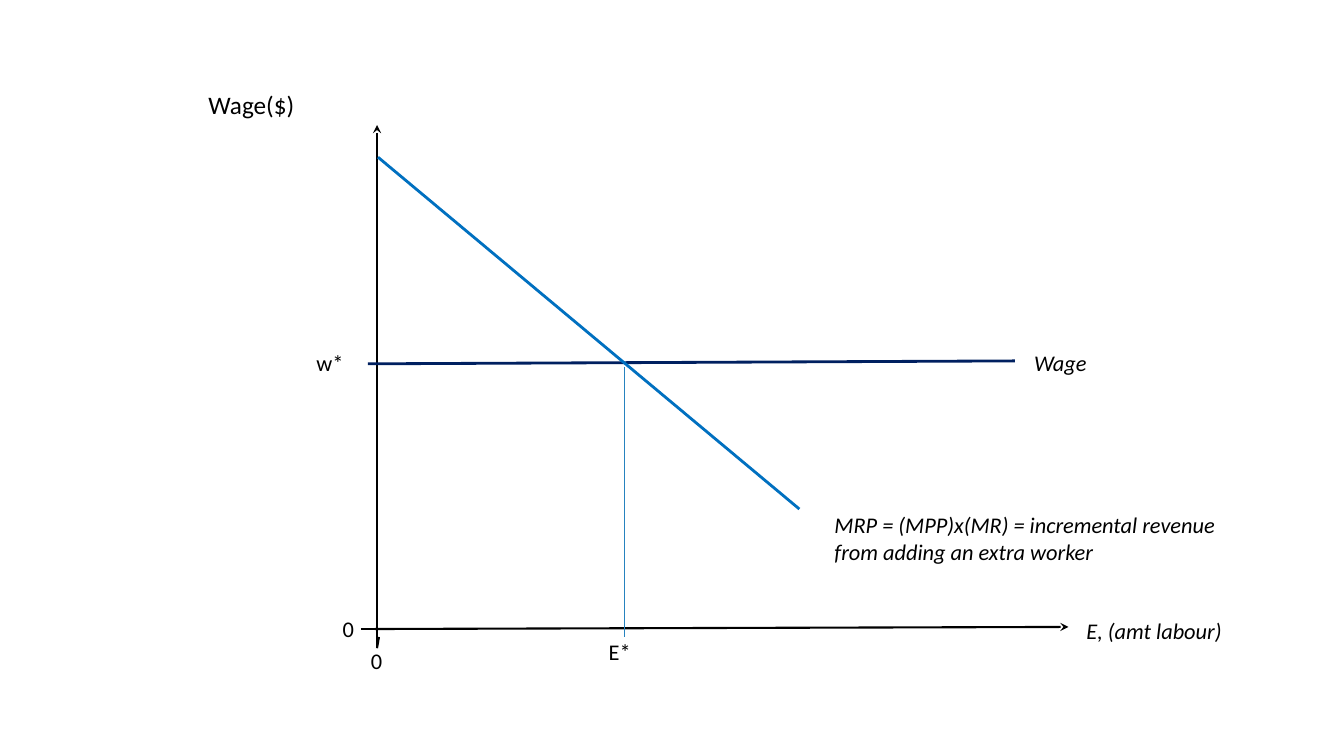
from dataclasses import dataclass

from lxml.etree import SubElement
from pptx import Presentation
from pptx.dml.color import RGBColor
from pptx.enum.shapes import MSO_CONNECTOR
from pptx.enum.text import MSO_AUTO_SIZE, PP_ALIGN
from pptx.oxml.ns import qn
from pptx.slide import Slide
from pptx.util import Pt

BLACK, NAVY, BLUE, TEAL = "000000", "002060", "0070C0", "2683BF"
FONT = "Calibri"
LINE_HEIGHT = 26.6  # height of a one-line 16 pt label


@dataclass(frozen=True)
class Line:
    start: tuple[float, float]
    end: tuple[float, float]
    color: str = BLACK
    weight: float = 1.5
    arrow_at_start: bool = False


@dataclass(frozen=True)
class Label:
    text: str
    left: float
    top: float
    width: float
    height: float = LINE_HEIGHT
    size: float = 16
    italic: bool = False
    align: PP_ALIGN = PP_ALIGN.LEFT


def rgb(color: str) -> RGBColor:
    return RGBColor.from_string(color)


def draw_line(slide: Slide, line: Line) -> None:
    points = [Pt(value) for value in (*line.start, *line.end)]
    connector = slide.shapes.add_connector(MSO_CONNECTOR.STRAIGHT, *points)
    connector.line.color.rgb = rgb(line.color)
    connector.line.width = Pt(line.weight)
    properties = connector._element.spPr
    if line.arrow_at_start:
        outline = properties.find(qn("a:ln"))
        SubElement(outline, qn("a:headEnd"), type="stealth")
    SubElement(properties, qn("a:effectLst"))


def draw_label(slide: Slide, label: Label) -> None:
    box = [Pt(value) for value in (label.left, label.top, label.width, label.height)]
    frame = slide.shapes.add_textbox(*box).text_frame
    frame.word_wrap = True
    frame.auto_size = MSO_AUTO_SIZE.SHAPE_TO_FIT_TEXT
    paragraph = frame.paragraphs[0]
    paragraph.alignment = label.align
    run = paragraph.add_run()
    run.text = label.text
    run.font.name = FONT
    run.font.size = Pt(label.size)
    run.font.italic = label.italic
    run.font.color.rgb = rgb(BLACK)


AXIS_X, AXIS_Y = 269.3, 449.3  # where the two axes cross
EMPLOYMENT_X = 446.4  # equilibrium employment

LINES = [
    # Axes
    Line((AXIS_X, 89.3), (AXIS_X, 462.2), arrow_at_start=True),
    Line((763.2, 447.8), (267.8, AXIS_Y), arrow_at_start=True),
    # Ticks at the origin
    Line((AXIS_X, 463), (270.7, 455)),
    Line((257.8, AXIS_Y), (270.7, AXIS_Y)),
    # Wage, equilibrium employment and marginal revenue product
    Line((262.8, 259.9), (725, 257.8), NAVY, 2),
    Line((EMPLOYMENT_X, 262.1), (EMPLOYMENT_X, 455), TEAL, 0.75),
    Line((270, 112.3), (571, 363.6), BLUE, 2),
]

LABELS = [
    # Axis titles
    Label("Wage($)", 141.8, 60.5, 115.9, height=29, size=18),
    Label("E, (amt labour)", 763.2, 437, 122.4, italic=True, align=PP_ALIGN.CENTER),
    # Axis values
    Label("0", 257.8, 458.6, 31),
    Label("0", 237.6, 435.6, 20.2),
    Label("w*", 218.9, 246.2, 43.9),
    Label("E*", 427.7, 452.2, 37.4),
    # Curve names
    Label("Wage", 731.5, 246.2, 92.9, italic=True),
    Label("MRP = (MPP)x(MR) = incremental revenue from adding an extra worker",
          589, 361.4, 316.8, height=46, italic=True),
]


def main() -> None:
    presentation = Presentation()
    presentation.slide_width, presentation.slide_height = Pt(960), Pt(540)
    slide = presentation.slides.add_slide(presentation.slide_layouts[6])
    for line in LINES:
        draw_line(slide, line)
    for label in LABELS:
        draw_label(slide, label)
    presentation.save("out.pptx")


main()
